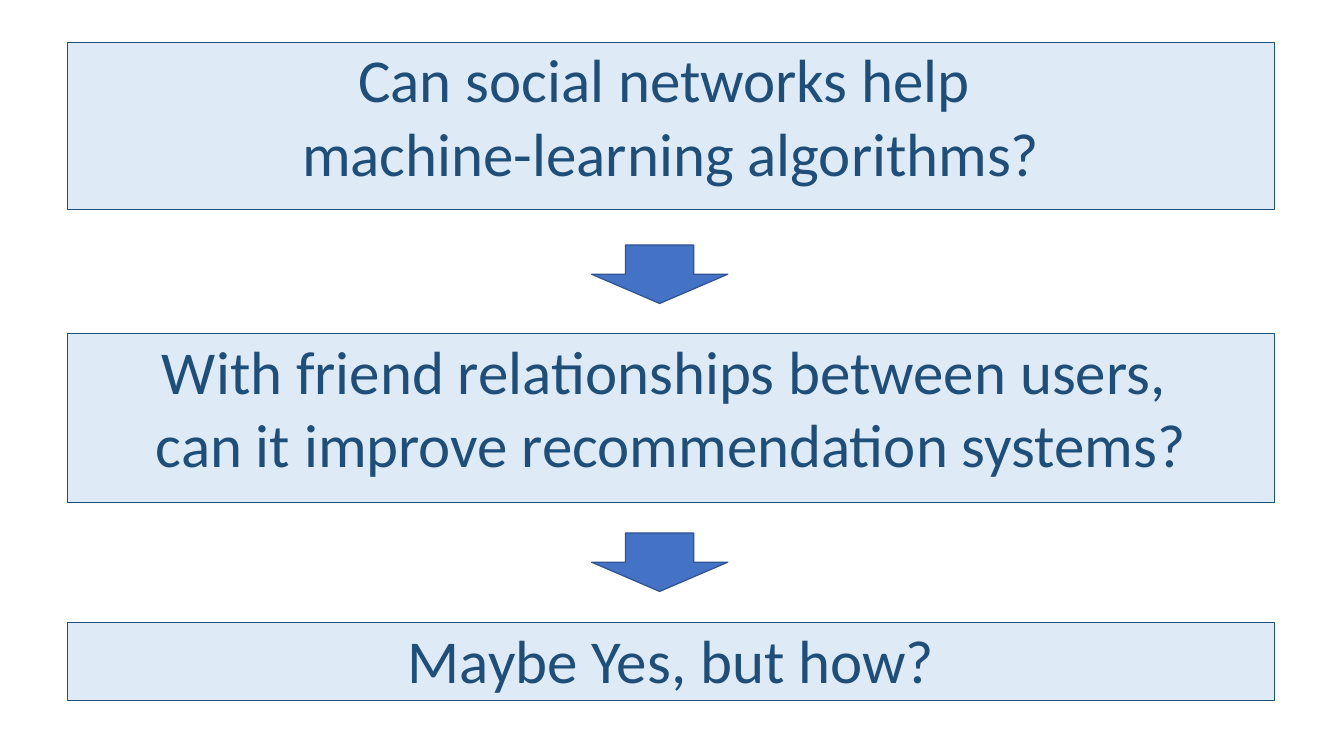
from pptx import Presentation
from pptx.dml.color import RGBColor
from pptx.enum.shapes import MSO_SHAPE
from pptx.enum.text import MSO_ANCHOR, PP_ALIGN
from pptx.util import Inches, Pt

COLORS = {
    "pale": "DEEBF7",
    "navy": "1F4E79",
    "blue": "4472C4",
    "edge": "325491",
}


class Deck:
    font = "Calibri"
    size = 48

    def __init__(self, wide, high):
        self.prs = Presentation()
        self.prs.slide_width = Inches(wide)
        self.prs.slide_height = Inches(high)
        self.slide = self.prs.slides.add_slide(self.prs.slide_layouts[6])

    def color(self, name):
        return RGBColor.from_string(COLORS[name])

    def shape(self, kind, area, fill, line, weight):
        shape = self.slide.shapes.add_shape(kind, *map(Inches, area))
        shape.shadow.inherit = False
        shape.fill.solid()
        shape.fill.fore_color.rgb = self.color(fill)
        shape.line.color.rgb = self.color(line)
        shape.line.width = Pt(weight)
        return shape

    def box(self, top, high, lines):
        area = (0.74, top, 13.2, high)
        shape = self.shape(MSO_SHAPE.RECTANGLE, area, "pale", "navy", 0.75)
        frame = shape.text_frame
        frame.word_wrap = True
        frame.vertical_anchor = MSO_ANCHOR.TOP
        frame.margin_left = frame.margin_right = Inches(0)
        frame.margin_top = frame.margin_bottom = Inches(0)
        for i, text in enumerate(lines):
            para = frame.add_paragraph() if i else frame.paragraphs[0]
            para.alignment = PP_ALIGN.CENTER
            run = para.add_run()
            run.text = text
            run.font.name = self.font
            run.font.size = Pt(self.size)
            run.font.color.rgb = self.color("navy")

    def arrow(self, top):
        area = (6.47, top, 1.49, 0.64)
        self.shape(MSO_SHAPE.DOWN_ARROW, area, "blue", "edge", 1)


def main():
    deck = Deck(14.7, 8.27)

    # Questions, top to bottom
    deck.box(0.46, 1.83, ["Can social networks help ",
                          "machine-learning algorithms?"])
    deck.box(3.65, 1.85, ["With friend relationships between users, ",
                          "can it improve recommendation systems?"])
    deck.box(6.81, 0.85, ["Maybe Yes, but how?"])

    # Arrows between the questions
    for top in (2.68, 5.83):
        deck.arrow(top)

    deck.prs.save("out.pptx")


if __name__ == "__main__":
    main()
